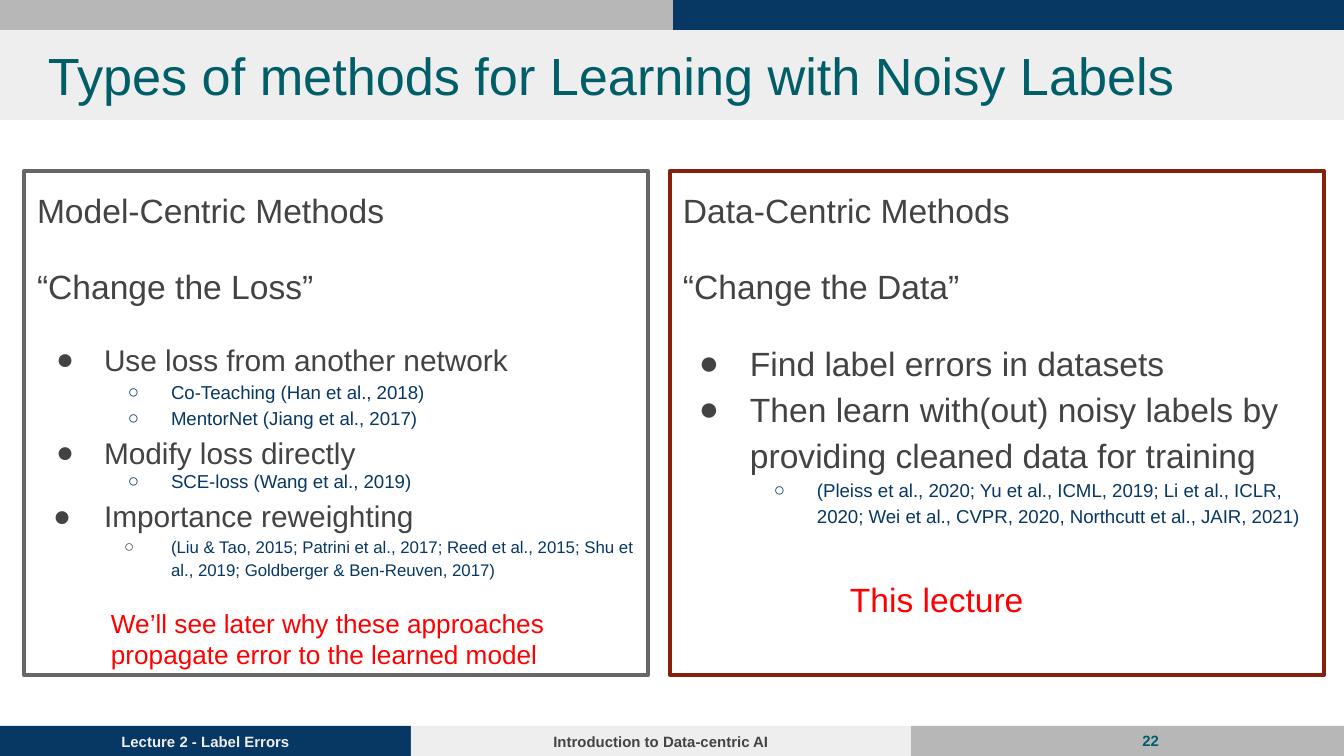
from dataclasses import dataclass
from typing import NamedTuple, Optional

from lxml.etree import SubElement
from pptx import Presentation
from pptx.dml.color import RGBColor as Rgb
from pptx.enum.shapes import MSO_SHAPE as Geo
from pptx.enum.text import MSO_ANCHOR as Anchor, MSO_AUTO_SIZE as Fit, PP_ALIGN as Align
from pptx.oxml.ns import qn
from pptx.util import Emu, Pt

SCALE = 914400 / 134.4  # EMU in one px


def px(n: int) -> Emu:
    return Emu(round(n * SCALE))


@dataclass(frozen=True)
class Theme:
    font: str = "Arial"
    navy: str = "073763"
    teal: str = "005E68"
    pale: str = "EEEEEE"
    silver: str = "B7B7B7"
    gray: str = "666666"
    ink: str = "434343"
    maroon: str = "85200C"
    red: str = "FF0000"
    title: int = 28
    head: int = 18
    item: int = 16
    note: int = 14
    cite: int = 10
    fine: int = 9
    foot: int = 8
    gap: int = 16
    rule: float = 2.25
    lead: float = 1.15


T = Theme()


class Box(NamedTuple):
    x: int
    y: int
    w: int
    h: int


@dataclass(frozen=True)
class Line:
    text: str
    size: int = T.head
    color: str = T.ink
    bold: bool = False
    align: Align = Align.LEFT
    lead: float = 1.0
    before: int = 0
    mark: str = ""
    mark_color: str = T.ink
    level: int = 0
    hang: int = 0


@dataclass(frozen=True)
class Band:
    box: Box
    fill: str
    line: Optional[Line] = None


@dataclass(frozen=True)
class Panel:
    box: Box
    edge: str
    lines: list[Line]


def assign(obj, values: dict) -> None:
    for key, value in values.items():
        setattr(obj, key, value)


def place(shape, box: Box) -> None:
    assign(shape, dict(zip(("left", "top", "width", "height"), map(px, box))))


def bullet(para, line: Line) -> None:
    props = para._p.get_or_add_pPr()
    props.set("marL", str(px(67 * (line.level + 1))))
    props.set("indent", str(-px(line.hang)))
    tint = SubElement(props, qn("a:buClr"))
    SubElement(tint, qn("a:srgbClr")).set("val", line.mark_color)
    SubElement(props, qn("a:buFont")).set("typeface", T.font)
    SubElement(props, qn("a:buChar")).set("char", line.mark)


def write(shape, lines: list[Line], anchor: Anchor = Anchor.TOP) -> None:
    frame = shape.text_frame
    sides = ("left", "top", "right", "bottom")
    assign(frame, {f"margin_{side}": px(13) for side in sides})
    assign(frame, {"word_wrap": True, "auto_size": Fit.NONE, "vertical_anchor": anchor})
    for i, line in enumerate(lines):
        para = frame.add_paragraph() if i else frame.paragraphs[0]
        if line.mark:
            bullet(para, line)
        assign(para, {"level": line.level, "alignment": line.align,
                      "line_spacing": line.lead, "space_before": Pt(line.before)})
        run = para.add_run()
        run.text = line.text
        assign(run.font, {"name": T.font, "size": Pt(line.size), "bold": line.bold})
        run.font.color.rgb = Rgb.from_string(line.color)


def rect(slide, box: Box):
    shape = slide.shapes.add_shape(Geo.RECTANGLE, *map(px, box))
    shape.shadow.inherit = False
    return shape


def draw_band(slide, band: Band) -> None:
    shape = rect(slide, band.box)
    shape.fill.solid()
    shape.fill.fore_color.rgb = Rgb.from_string(band.fill)
    shape.line.fill.background()
    if band.line:
        write(shape, [band.line], Anchor.MIDDLE)


def draw_panel(slide, panel: Panel) -> None:
    shape = rect(slide, panel.box)
    shape.fill.background()
    shape.line.color.rgb = Rgb.from_string(panel.edge)
    shape.line.width = Pt(T.rule)
    write(shape, panel.lines)


def draw_text(slide, box: Box, lines: list[Line], anchor: Anchor) -> None:
    write(slide.shapes.add_textbox(*map(px, box)), lines, anchor)


def head(text: str, before: int = 0) -> Line:
    return Line(text, lead=T.lead, before=before)


def item(text: str, size: int = T.item, before: int = 0, hang: int = 48) -> Line:
    return Line(text, size, lead=T.lead, before=before, mark="●", hang=hang)


def cite(text: str, size: int = T.cite, lead: float = T.lead,
         tint: str = T.navy, hang: int = 43) -> Line:
    return Line(text, size, T.navy, lead=lead, mark="○", mark_color=tint,
                level=1, hang=hang)


def foot(text: str, color: str, align: Align = Align.CENTER) -> Line:
    return Line(text, T.foot, color, bold=True, align=align)


BANDS = [
    Band(Box(0, 30, 1344, 90), T.pale),
    Band(Box(0, 726, 411, 30), T.navy, foot("Lecture 2 - Label Errors", T.pale)),
    Band(Box(911, 726, 433, 30), T.silver),
    Band(Box(0, 0, 673, 30), T.silver),
    Band(Box(673, 0, 671, 30), T.navy),
    Band(Box(411, 726, 500, 30), T.pale, foot("Introduction to Data-centric AI", T.ink)),
]

PANELS = [
    Panel(Box(24, 171, 624, 504), T.gray, [
        head("Model-Centric Methods"),
        head("“Change the Loss”", T.gap),
        item("Use loss from another network", before=T.gap),
        cite("Co-Teaching (Han et al., 2018)"),
        cite("MentorNet (Jiang et al., 2017)"),
        item("Modify loss directly"),
        cite("SCE-loss (Wang et al., 2019)", lead=1.0),
        item("Importance reweighting", hang=51),
        cite("(Liu & Tao, 2015; Patrini et al., 2017; Reed et al., 2015; Shu et al., 2019; "
             "Goldberger & Ben-Reuven, 2017)", T.fine, tint=T.ink, hang=47),
    ]),
    Panel(Box(670, 171, 654, 504), T.maroon, [
        head("Data-Centric Methods"),
        head("“Change the Data”", T.gap),
        item("Find label errors in datasets", T.head, T.gap, 51),
        item("Then learn with(out) noisy labels by providing cleaned data for training",
             T.head, hang=51),
        cite("(Pleiss et al., 2020; Yu et al., ICML, 2019; Li et al., ICLR, 2020; "
             "Wei et al., CVPR, 2020, Northcutt et al., JAIR, 2021)"),
    ]),
]


def main() -> None:
    deck = Presentation()
    assign(deck, {"slide_width": px(1344), "slide_height": px(756)})
    slide = deck.slides.add_slide(deck.slide_layouts[5])

    # Header and footer bands
    for band in BANDS:
        draw_band(slide, band)

    # Title, raised above its band
    title = slide.shapes.title
    title.element.getparent().append(title.element)
    place(title, Box(35, 30, 1253, 90))
    write(title, [Line("Types of methods for Learning with Noisy Labels", T.title, T.teal)])

    # The two families of methods
    for panel in PANELS:
        draw_panel(slide, panel)

    # Page number and red remarks
    draw_text(slide, Box(1070, 712, 102, 58), [foot("22", T.teal, Align.RIGHT)],
              Anchor.MIDDLE)
    draw_text(slide, Box(837, 560, 300, 67),
              [Line("This lecture", T.head, T.red, lead=T.lead)], Anchor.TOP)
    remark = ("We’ll see later why these approaches", "propagate error to the learned model")
    draw_text(slide, Box(98, 605, 534, 67),
              [Line(text, T.note, T.red) for text in remark], Anchor.MIDDLE)

    deck.save("out.pptx")


if __name__ == "__main__":
    main()
